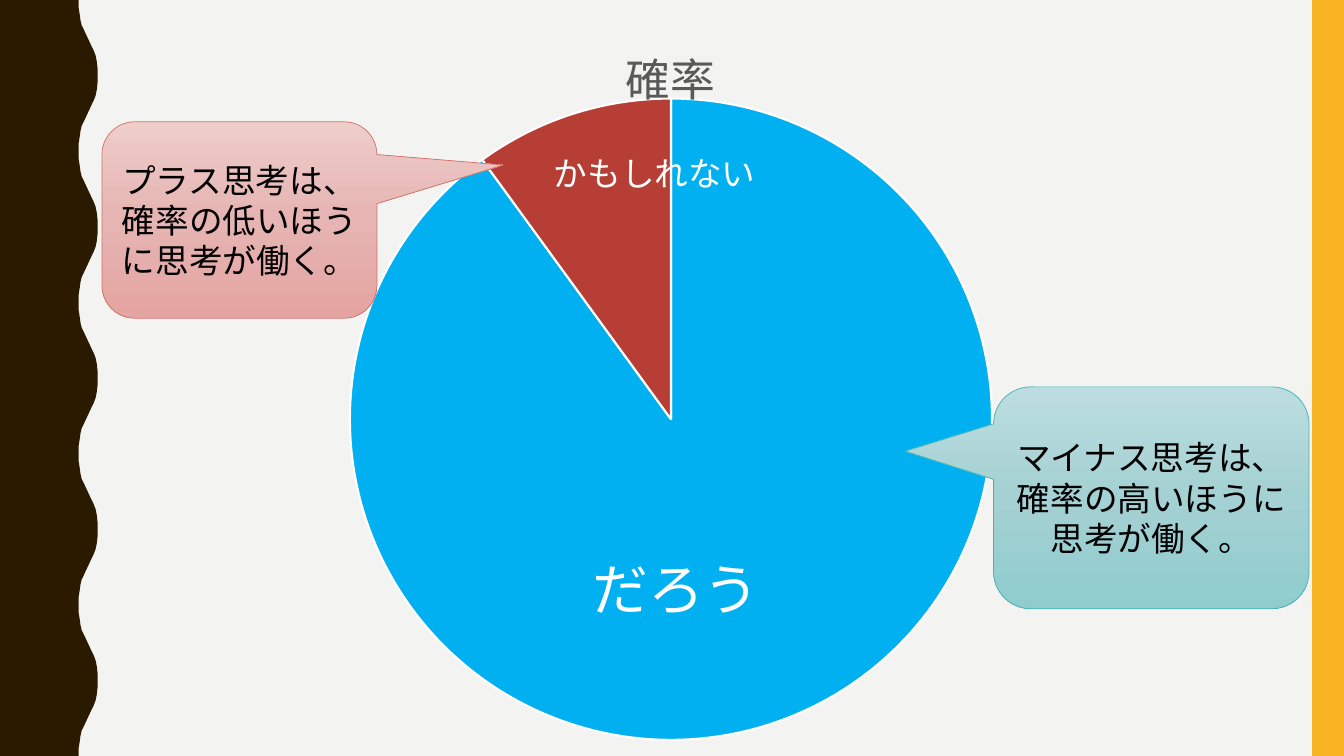
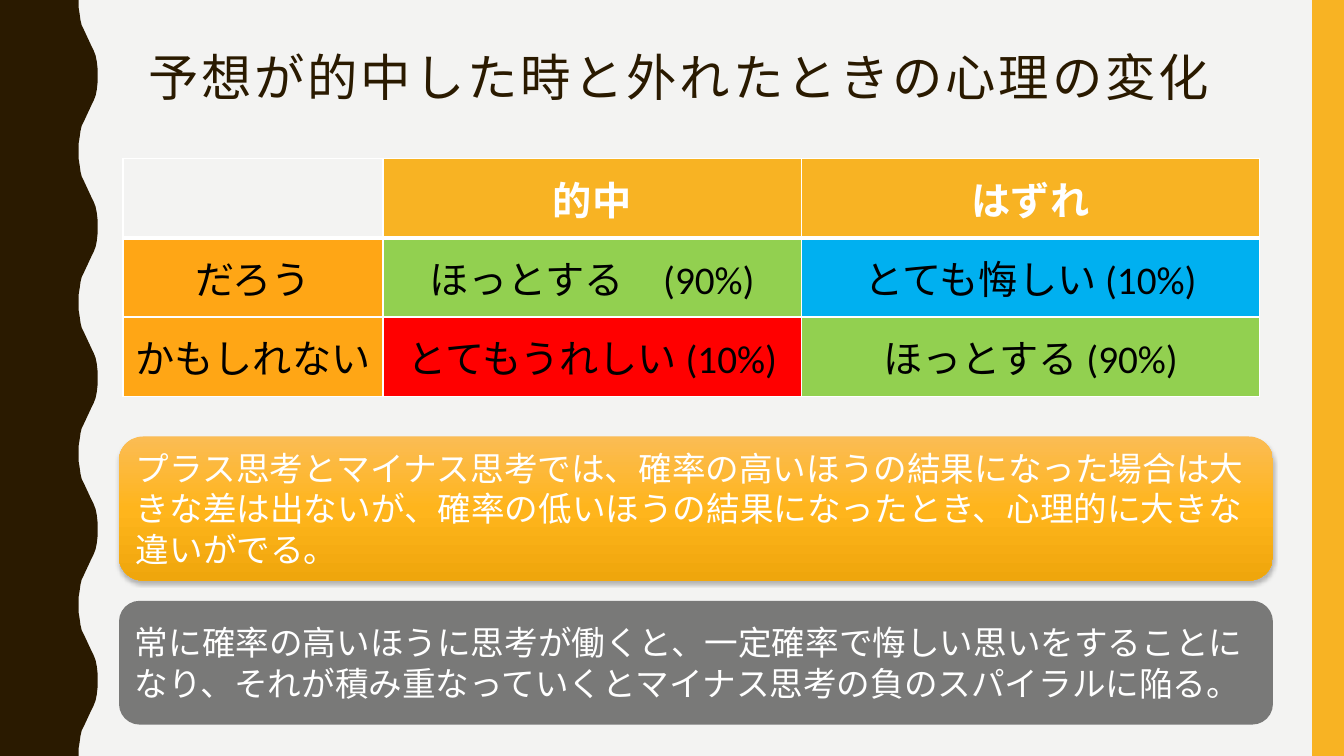
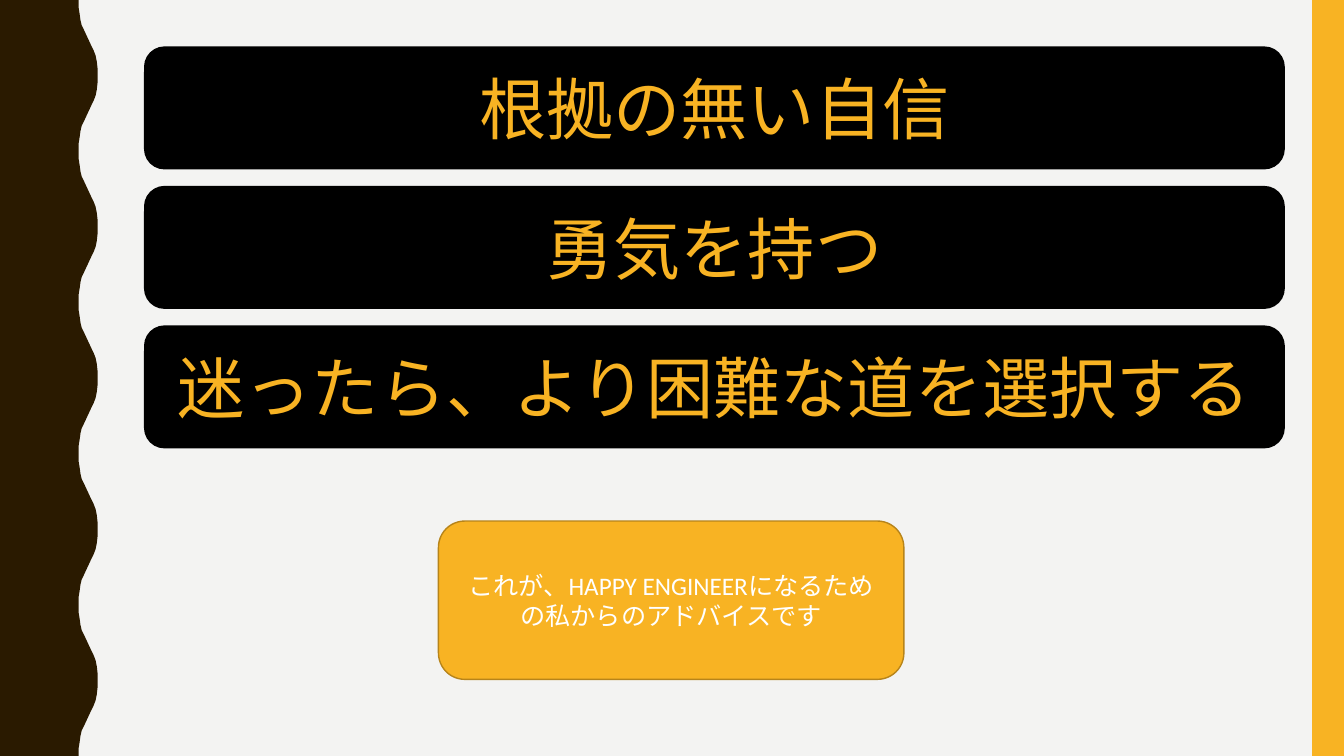
import copy
import pptx
import pptx.chart.data
import pptx.dml.color
import pptx.enum.chart
import pptx.enum.shapes
import pptx.enum.text
import pptx.oxml
import pptx.util

Cm, Pt = pptx.util.Cm, pptx.util.Pt
SHAPES = pptx.enum.shapes.MSO_SHAPE
CENTER, LEFT = pptx.enum.text.PP_ALIGN.CENTER, pptx.enum.text.PP_ALIGN.LEFT
MIDDLE = pptx.enum.text.MSO_ANCHOR.MIDDLE
BROWN, AMBER, PAPER = "2A1A00", "F8B323", "F3F3F2"
WHITE, BLACK, SKY, GREEN = "FFFFFF", "000000", "00B0F0", "92D050"
LATIN, JAPANESE, HEADING = "Calibri", "Noto Sans CJK JP", "Roboto Condensed"
WIDTH, HEIGHT = 33.87, 19.05
DRAWING = 'xmlns:a="http://schemas.openxmlformats.org/drawingml/2006/main"'
CHART = 'xmlns:c="http://schemas.openxmlformats.org/drawingml/2006/chart"'


def rgb(color):
    return pptx.dml.color.RGBColor.from_string(color)


def cm_box(box):
    return [Cm(length) for length in box]


def style_font(font, size, color, name=LATIN, bold=False):
    font.size, font.name, font.bold = Pt(size), name, bold
    font.color.rgb = rgb(color)


def paint(shape, fill, line=None, line_width=1):
    shape.shadow.inherit = False
    if isinstance(fill, str):
        shape.fill.solid()
        shape.fill.fore_color.rgb = rgb(fill)
    else:
        shape.fill.gradient()
        shape.fill.gradient_angle = 270
        stop_list = shape.element.xpath(".//a:gsLst")[0]
        stop_list.insert(1, copy.deepcopy(stop_list[0]))
        for stop, position, color in zip(shape.fill.gradient_stops, (0, 0.5, 1), fill):
            stop.position = position
            stop.color.rgb = rgb(color)
    if line:
        shape.line.color.rgb = rgb(line)
        shape.line.width = Pt(line_width)
    else:
        shape.line.fill.background()


def add_panel(slide, box, text, size, color, fill, line=None, line_width=1,
              kind=SHAPES.ROUNDED_RECTANGLE, align=CENTER, font=LATIN):
    panel = slide.shapes.add_shape(kind, *cm_box(box))
    paint(panel, fill, line, line_width)
    frame = panel.text_frame
    frame.word_wrap = True
    frame.vertical_anchor = MIDDLE
    frame.text = text
    frame.paragraphs[0].alignment = align
    style_font(frame.paragraphs[0].runs[0].font, size, color, font)
    return panel


def add_callout(slide, box, text, pointer, fill, line):
    callout = add_panel(slide, box, text, 24, BLACK, fill, line, 0.5,
                        SHAPES.ROUNDED_RECTANGULAR_CALLOUT)
    for index, value in enumerate((*pointer, 0.167)):
        callout.adjustments[index] = value


def dress_master(master, slide):
    master.background.fill.solid()
    master.background.fill.fore_color.rgb = rgb(PAPER)
    waves = 5
    period = HEIGHT / waves
    rise = [(0, 1.98), (0.18, 1.98), (0.36, 2.01), (0.51, 2.03), (0.64, 2.06), (0.74, 2.11),
            (1.17, 2.31), (1.27, 2.36), (1.4, 2.41), (1.55, 2.44), (1.73, 2.46)]
    fall = [(period - y, x) for y, x in reversed(rise)]
    edge = [(Cm(x), Cm(wave * period + y)) for wave in range(waves) for y, x in rise + fall]
    outline = slide.shapes.build_freeform(0, 0)
    outline.add_line_segments(edge + [(0, Cm(HEIGHT))], close=True)
    wavy_band = outline.convert_to_shape()
    paint(wavy_band, BROWN)
    side_band = slide.shapes.add_shape(SHAPES.RECTANGLE, *cm_box((33.07, 0, 0.8, HEIGHT)))
    paint(side_band, AMBER)
    for band in (wavy_band, side_band):
        master.shapes.element.append(band.element)


def manual_layout(x, y, size=None):
    settings = [("x", x), ("y", y)]
    modes = ""
    if size:
        settings += [("w", size[0]), ("h", size[1])]
        modes = ('<c:layoutTarget val="inner"/><c:xMode val="edge"/>'
                 '<c:yMode val="edge"/>')
    values = "".join(f'<c:{tag} val="{value}"/>' for tag, value in settings)
    return pptx.oxml.parse_xml(f"<c:layout {CHART}><c:manualLayout>{modes}{values}"
                               "</c:manualLayout></c:layout>")


def add_probability_pie(slide, box):
    data = pptx.chart.data.CategoryChartData()
    data.categories = ["だろう", "かもしれない"]
    data.add_series("確率", (90, 10))
    chart = slide.shapes.add_chart(pptx.enum.chart.XL_CHART_TYPE.PIE, *cm_box(box), data).chart
    style_font(chart.font, 10, BLACK)
    chart.has_legend = False
    chart.has_title = True
    heading = chart.chart_title.text_frame
    heading.text = "確率"
    style_font(heading.paragraphs[0].runs[0].font, 32, "595959")
    plot = chart.plots[0]
    plot.vary_by_categories = False
    series = plot.series[0]
    style_font(series.data_labels.font, 12, WHITE)
    series.data_labels.show_category_name = True
    series.data_labels.show_value = False
    for index, (color, size) in enumerate(((SKY, 40), ("B73E35", 24))):
        point = series.points[index]
        point.format.fill.solid()
        point.format.fill.fore_color.rgb = rgb(color)
        point.format.line.color.rgb = rgb(WHITE)
        point.format.line.width = Pt(1.5)
        style_font(point.data_label.font, size, WHITE)
        point.data_label.position = pptx.enum.chart.XL_LABEL_POSITION.CENTER
    for label, offset in zip(chart.element.xpath(".//c:dLbl"), ((-0.04, 0.02), (0.03, -0.13))):
        label.insert(1, manual_layout(*offset))
        label.xpath("c:showVal")[0].set("val", "0")
        label.xpath("c:showCatName")[0].set("val", "1")
    plot_area = chart.element.xpath(".//c:plotArea")[0]
    for layout in plot_area.xpath("c:layout"):
        plot_area.remove(layout)
    plot_area.insert(0, manual_layout(0.21, 0.12, (0.58, 0.88)))


def add_title(slide, box, text):
    title = slide.shapes.title
    title.left, title.top, title.width, title.height = cm_box(box)
    title.text_frame.text = text
    title.text_frame.vertical_anchor = MIDDLE
    paragraph = title.text_frame.paragraphs[0]
    paragraph.alignment = LEFT
    paragraph.line_spacing = 0.9
    style_font(paragraph.runs[0].font, 36, BROWN, HEADING)
    title.element.xpath(".//a:rPr")[0].set("spc", "200")


def add_borders(cell, widths):
    properties = cell._tc.get_or_add_tcPr()
    for side, width in zip("LRTB", widths):
        properties.append(pptx.oxml.parse_xml(
            f'<a:ln{side} {DRAWING} w="{Pt(width)}"><a:solidFill>'
            f'<a:srgbClr val="{WHITE}"/></a:solidFill></a:ln{side}>'))


def add_feelings_table(slide, box):
    orange = "FFA615"
    rows = [
        [(None, []), (AMBER, [("的中", LATIN)]), (AMBER, [("はずれ", LATIN)])],
        [(orange, [("だろう", JAPANESE)]),
         (GREEN, [("ほっとする　(90%)", LATIN)]),
         (SKY, [("とても悔しい ", JAPANESE), ("(10%)", LATIN)])],
        [(orange, [("かもしれない", JAPANESE)]),
         ("FF0000", [("とてもうれしい ", JAPANESE), ("(10%)", LATIN)]),
         (GREEN, [("ほっとする (90%)", LATIN)])],
    ]
    table = slide.shapes.add_table(3, 3, *cm_box(box)).table
    table.horz_banding = False
    for column, width in zip(table.columns, (6.55, 10.54, 11.56)):
        column.width = Cm(width)
    for row_index, row in enumerate(rows):
        header = row_index == 0
        for column_index, (fill, runs) in enumerate(row):
            cell = table.cell(row_index, column_index)
            add_borders(cell, (1, 1, 3 if row_index == 1 else 1, 3 if header else 1))
            cell.vertical_anchor = MIDDLE
            if fill:
                cell.fill.solid()
                cell.fill.fore_color.rgb = rgb(fill)
            else:
                cell.fill.background()
            paragraph = cell.text_frame.paragraphs[0]
            paragraph.alignment = CENTER
            for text, font in runs:
                run = paragraph.add_run()
                run.text = text
                style_font(run.font, 28, WHITE if header else BLACK, font, header)


def add_findings(slide, box):
    left, top, width, height = box
    outcome_height, spiral_height = 3.63, 3.12
    outcome = add_panel(
        slide, (left, top, width, outcome_height),
        "プラス思考とマイナス思考では、確率の高いほうの結果になった場合は大きな差は出ないが、"
        "確率の低いほうの結果になったとき、心理的に大きな違いがでる。",
        24, WHITE, ("FBBC54", "FFB51C", "EFA60C"), align=LEFT)
    outcome.element.xpath(".//a:effectLst")[0].append(pptx.oxml.parse_xml(
        f'<a:outerShdw {DRAWING} blurRad="{Pt(3)}" dist="{Pt(2)}" dir="5400000">'
        f'<a:srgbClr val="{BLACK}"><a:alpha val="25000"/></a:srgbClr></a:outerShdw>'))
    spiral = add_panel(
        slide, (left, top + height - spiral_height, width, spiral_height),
        "常に確率の高いほうに思考が働くと、一定確率で悔しい思いをすることになり、"
        "それが積み重なっていくとマイナス思考の負のスパイラルに陥る。",
        24, WHITE, BLACK, align=LEFT)
    spiral.element.xpath("./p:spPr/a:solidFill/a:srgbClr")[0].append(
        pptx.oxml.parse_xml(f'<a:alpha {DRAWING} val="50000"/>'))


def add_advice_bars(slide, box, advice):
    left, top, width, height = box
    bar_height = 3.1
    pitch = (height - bar_height) / (len(advice) - 1)
    for index, text in enumerate(advice):
        add_panel(slide, (left, top + index * pitch, width, bar_height), text,
                  48, AMBER, BLACK, font=JAPANESE)


def main():
    deck = pptx.Presentation()
    deck.slide_width, deck.slide_height = Cm(WIDTH), Cm(HEIGHT)
    title_only, blank = deck.slide_layouts[5], deck.slide_layouts[6]

    probability = deck.slides.add_slide(blank)
    dress_master(deck.slide_master, probability)
    add_probability_pie(probability, (2.9, 0.28, 28.02, 18.39))
    add_callout(probability, (25.04, 9.75, 7.95, 5.59),
                "マイナス思考は、確率の高いほうに思考が働く。",
                (-0.78, -0.21), ("BCDDDF", "A4D1D3", "90CCCE"), "46B2B5")
    add_callout(probability, (2.57, 3.07, 6.93, 4.95),
                "プラス思考は、確率の低いほうに思考が働く。",
                (0.96, -0.28), ("EECDCB", "E6B4B2", "E4A4A1"), "D36F68")

    feelings = deck.slides.add_slide(title_only)
    add_title(feelings, (3.48, 1.07, 28.27, 1.9), "予想が的中した時と外れたときの心理の変化")
    add_feelings_table(feelings, (3.1, 3.99, 28.65, 6))
    add_findings(feelings, (3, 11, 29.08, 7.26))

    advice = deck.slides.add_slide(blank)
    add_advice_bars(advice, (3.63, 1.17, 28.75, 10.13),
                    ["根拠の無い自信", "勇気を持つ", "迷ったら、より困難な道を選択する"])
    add_panel(advice, (11.05, 13.13, 11.73, 3.99),
              "これが、HAPPY ENGINEERになるための私からのアドバイスです",
              18, WHITE, AMBER, "B7841A")

    deck.save("out.pptx")


main()
